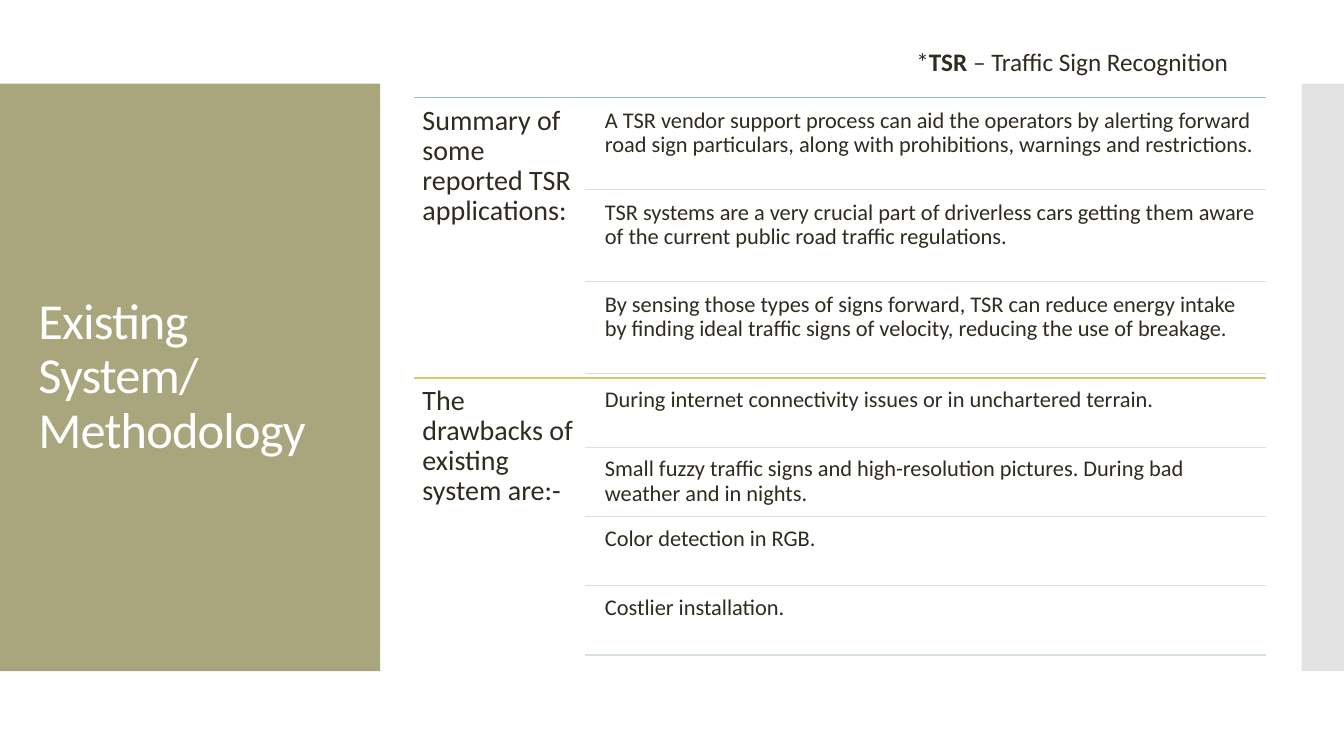
"""Build the slide on existing traffic sign recognition systems."""
from lxml import etree
from pptx import Presentation, util as u
from pptx.dml.color import RGBColor
from pptx.enum import shapes, text
from pptx.oxml.ns import qn

TITLE = "Existing System/ Methodology"
NOTE = [("*", False), ("TSR", True), (" – Traffic Sign Recognition", False)]

OLIVE = RGBColor(0xA9, 0xA5, 0x7C)
GREY = RGBColor(0xC8, 0xC8, 0xC8)
TEAL = RGBColor(0x9C, 0xBE, 0xBD)
PALE_TEAL = RGBColor(0xD5, 0xE2, 0xE1)
YELLOW = RGBColor(0xD2, 0xCB, 0x6C)
INK = RGBColor(0x2F, 0x2B, 0x20)
WHITE = RGBColor(0xFF, 0xFF, 0xFF)

SECTIONS = [
    ("Summary of some reported TSR applications:", TEAL, [
        "A TSR vendor support process can aid the operators by alerting forward road sign "
        "particulars, along with prohibitions, warnings and restrictions.",
        "TSR systems are a very crucial part of driverless cars getting them aware of the "
        "current public road traffic regulations.",
        "By sensing those types of signs forward, TSR can reduce energy intake by finding "
        "ideal traffic signs of velocity, reducing the use of breakage.",
    ]),
    ("The drawbacks of existing system are:-", YELLOW, [
        "During internet connectivity issues or in unchartered terrain.",
        "Small fuzzy traffic signs and high-resolution pictures. During bad weather and in nights.",
        "Color detection in RGB.",
        "Costlier installation.",
    ]),
]

WIDTH, HEIGHT = 13.33, 7.5
PANEL_TOP, PANEL_HEIGHT = 0.83, 5.83
LIST_LEFT, LIST_TOP, LIST_WIDTH = 4.11, 0.97, 8.45
LIST_RIGHT = LIST_LEFT + LIST_WIDTH
HEADING_WIDTH = LIST_WIDTH / 5
ITEM_INDENT = 0.13
SECTION_HEIGHT = 2.78
GAP_SHARE = 0.05


def write(shape, runs, size=16, color=INK, inset=None, line_spacing=0.9,
          space_after=0, anchor=text.MSO_ANCHOR.TOP, tracking=None):
    """Fill a shape with one paragraph of (text, bold) runs."""
    frame = shape.text_frame
    frame.word_wrap = True
    frame.auto_size = text.MSO_AUTO_SIZE.NONE
    frame.vertical_anchor = anchor
    if inset is not None:
        frame.margin_left = frame.margin_right = u.Inches(inset)
        frame.margin_top = frame.margin_bottom = u.Inches(inset)
    paragraph = frame.paragraphs[0]
    paragraph.alignment = text.PP_ALIGN.LEFT
    paragraph.line_spacing = line_spacing
    paragraph.space_after = u.Pt(space_after)
    for content, bold in runs:
        run = paragraph.add_run()
        run.text = content
        run.font.name = "Calibri"
        run.font.size = u.Pt(size)
        run.font.bold = bold
        run.font.color.rgb = color
        if tracking is not None:
            run._r.get_or_add_rPr().set("spc", str(tracking))


def add_text(slide, left, top, width, height, runs, **style):
    """Add a text box, sized in inches."""
    box = slide.shapes.add_textbox(*map(u.Inches, (left, top, width, height)))
    write(box, runs, **style)


def add_panel(slide, left, width, color, opacity=100):
    """Add a side panel."""
    panel = slide.shapes.add_shape(
        shapes.MSO_SHAPE.RECTANGLE,
        *map(u.Inches, (left, PANEL_TOP, width, PANEL_HEIGHT)))
    panel.shadow.inherit = False
    panel.fill.solid()
    panel.fill.fore_color.rgb = color
    panel.line.fill.background()
    if opacity < 100:
        fill = panel.element.spPr.find(qn("a:solidFill"))
        etree.SubElement(fill[0], qn("a:alpha"), val=str(opacity * 1000))


def add_rule(slide, left, top, color):
    """Add a horizontal rule reaching the right edge of the list."""
    rule = slide.shapes.add_connector(
        shapes.MSO_CONNECTOR.STRAIGHT, *map(u.Inches, (left, top, LIST_RIGHT, top)))
    rule.line.color.rgb = color
    rule.line.width = u.Pt(0.85)
    etree.SubElement(rule.element.spPr, qn("a:effectLst"))


def add_section(slide, top, heading, color, items):
    """Add a heading with its ruled items beside it."""
    item_left = LIST_LEFT + HEADING_WIDTH
    text_left = item_left + ITEM_INDENT
    add_rule(slide, LIST_LEFT, top, color)
    add_text(slide, LIST_LEFT, top, HEADING_WIDTH, SECTION_HEIGHT,
             [(heading, False)], size=20, inset=0.08, space_after=7)
    count = len(items)
    row = SECTION_HEIGHT / (count + GAP_SHARE * (count + 1))
    gap = row * GAP_SHARE
    for index, item in enumerate(items):
        row_top = top + gap + index * (row + gap)
        add_text(slide, text_left, row_top, LIST_RIGHT - text_left, row,
                 [(item, False)], inset=0.07, space_after=5.6)
        add_rule(slide, item_left, row_top + row, PALE_TEAL)


def main():
    """Assemble and save the slide."""
    presentation = Presentation()
    presentation.slide_width = u.Inches(WIDTH)
    presentation.slide_height = u.Inches(HEIGHT)
    slide = presentation.slides.add_slide(presentation.slide_layouts[5])

    add_panel(slide, 0, 3.77, OLIVE)
    add_panel(slide, WIDTH - 0.42, 0.42, GREY, opacity=50)

    title = slide.shapes.title
    title.left, title.top, title.width, title.height = map(u.Inches, (0.28, 1.23, 3.22, 5.03))
    write(title, [(TITLE, False)], size=36, color=WHITE,
          anchor=text.MSO_ANCHOR.MIDDLE, tracking=-60)
    title.element.getparent().append(title.element)

    for index, section in enumerate(SECTIONS):
        add_section(slide, LIST_TOP + index * SECTION_HEIGHT, *section)
    add_text(slide, 8.99, 0.41, 3.57, 0.4, NOTE, size=18, line_spacing=1)

    presentation.save("out.pptx")


if __name__ == "__main__":
    main()
